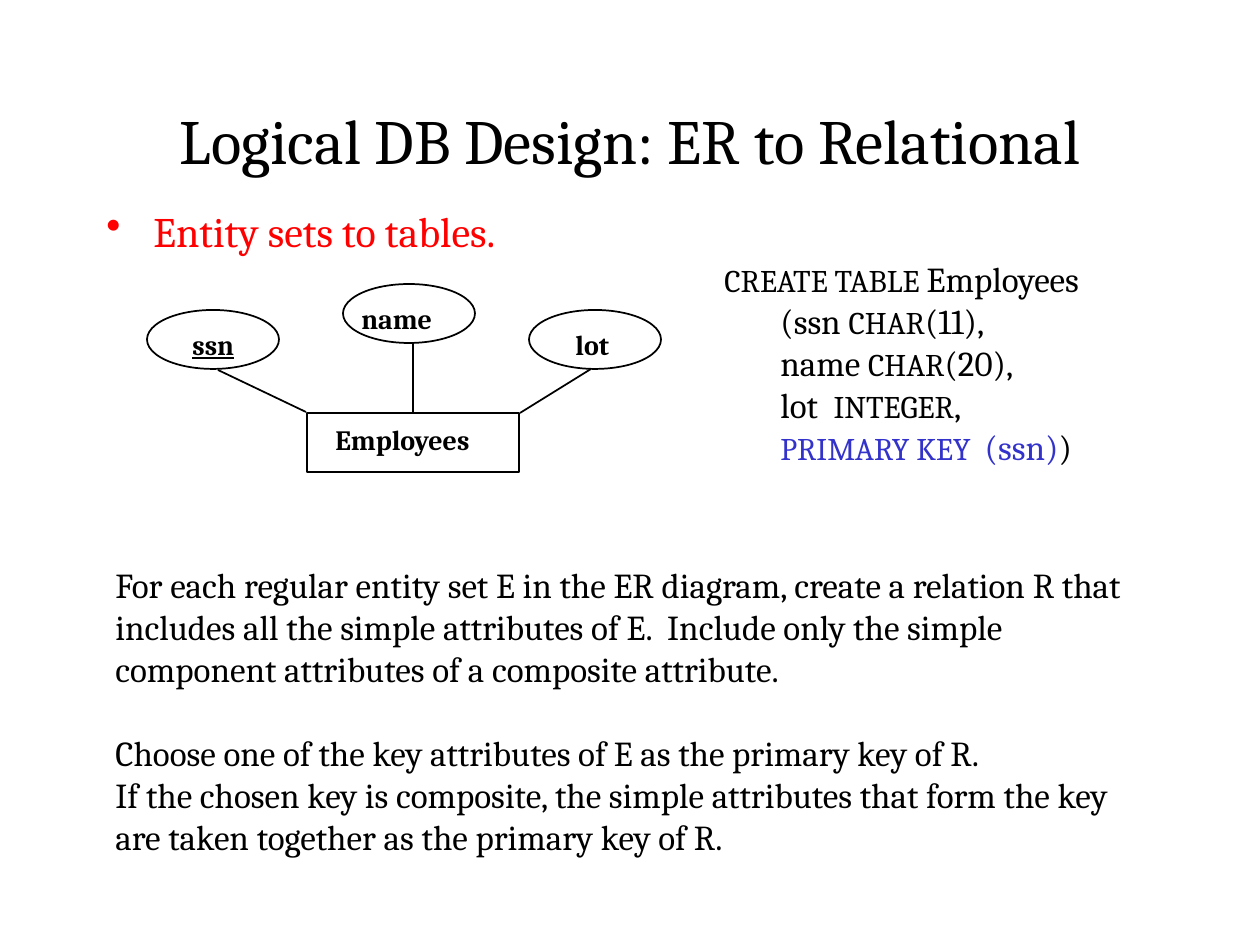
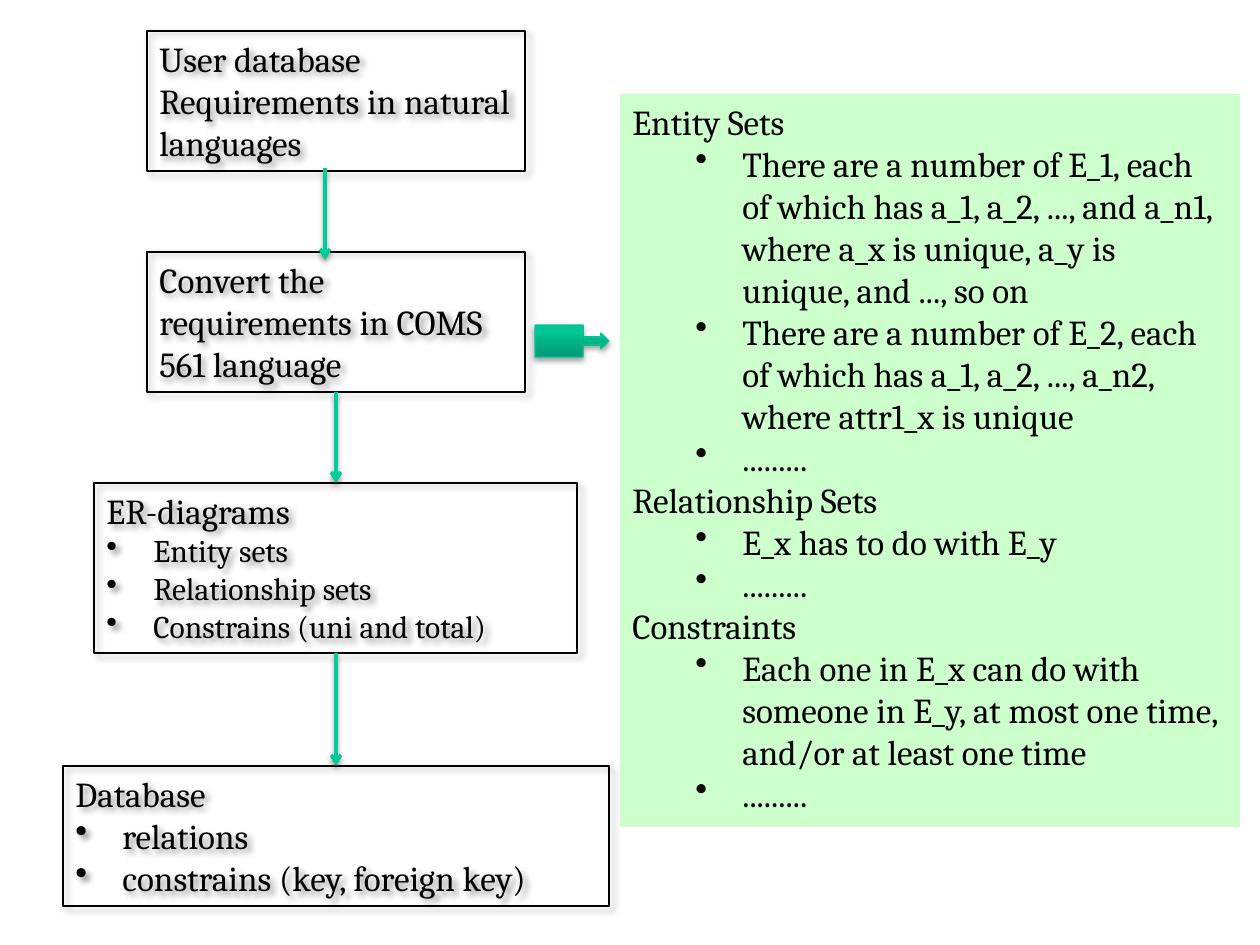
from lxml import etree
from pptx import Presentation
from pptx.dml.color import RGBColor
from pptx.enum.shapes import MSO_CONNECTOR, MSO_SHAPE
from pptx.enum.text import MSO_ANCHOR, MSO_AUTO_SIZE, PP_ALIGN
from pptx.oxml.ns import qn
from pptx.util import Emu, Pt

PIXEL = 914400 / 126
FONT = "Cambria"
COLORS = {
    "ink": "000000",
    "topic": "FF0000",
    "key": "3333CC",
    "panel": "CCFFCC",
    "flow": "00CC99",
    "callout edge": "00C896",
}
CALLOUT_STOPS = [(0, "009872"), (80, "00C694"), (100, "00C795")]
# Opacity in percent, blur and distance in points, direction in degrees
BOX_SHADOW = (43, 4, 3, 45)
ARROW_SHADOW = (38, 3.1, 1.6, 90)
CALLOUT_SHADOW = (35, 3.1, 1.8, 90)

RECTANGLE = MSO_SHAPE.RECTANGLE
ELLIPSE = MSO_SHAPE.OVAL
CALLOUT = MSO_SHAPE.RIGHT_ARROW_CALLOUT
STRAIGHT = MSO_CONNECTOR.STRAIGHT
MIDDLE = MSO_ANCHOR.MIDDLE
CENTER = PP_ALIGN.CENTER
GROW = MSO_AUTO_SIZE.SHAPE_TO_FIT_TEXT
LEFT = PP_ALIGN.LEFT
TOP = MSO_ANCHOR.TOP

HANG = 47
SUB_MARGIN = 110


def px(*values):
    """Turn pixels into EMU."""
    return [Emu(round(value * PIXEL)) for value in values]


def rgb(name):
    """Look up a named colour."""
    return RGBColor.from_string(COLORS[name])


def add_child(parent, tag, **attributes):
    """Append a DrawingML element with the given attributes."""
    child = etree.SubElement(parent, qn(tag))
    for name, value in attributes.items():
        child.set(name, str(value))
    return child


def add_shadow(effects, shadow):
    """Put an outer shadow in an effect list."""
    opacity, blur, distance, direction = shadow
    outer = add_child(effects, "a:outerShdw", blurRad=Pt(blur), dist=Pt(distance),
                      dir=direction * 60000, rotWithShape=0)
    color = add_child(outer, "a:srgbClr", val=COLORS["ink"])
    add_child(color, "a:alpha", val=opacity * 1000)


def line_of(*spans, margin=0, bullet=False, **formats):
    """Describe one paragraph; a span is a text or a (text, formats) pair."""
    return spans, margin, bullet, formats


def bullet_of(text, margin=HANG, **formats):
    """Describe one bulleted paragraph."""
    return line_of((text, formats), margin=margin, bullet=True)


def write(frame, lines, size=20, color="ink", **formats):
    """Fill a text frame with described paragraphs."""
    for number, (spans, margin, bullet, para_formats) in enumerate(lines):
        para = frame.add_paragraph() if number else frame.paragraphs[0]
        for name, value in {"alignment": LEFT, **para_formats}.items():
            setattr(para, name, value)
        properties = para._p.get_or_add_pPr()
        properties.set("marL", str(px(margin)[0]))
        properties.set("indent", str(px(-HANG if bullet else 0)[0]))
        if bullet:
            add_child(properties, "a:buChar", char="•")
        for item in spans:
            text, changes = (item, {}) if isinstance(item, str) else item
            values = {"name": FONT, "size": size, "color": color, **formats, **changes}
            span = para.add_run()
            span.text = text
            span.font.color.rgb = rgb(values.pop("color"))
            values["size"] = Pt(values["size"])
            for name, value in values.items():
                setattr(span.font, name, value)


def add_text(shapes, place, lines, frame_formats=None, **formats):
    """Add a text box."""
    frame = shapes.add_textbox(*px(*place)).text_frame
    for name, value in {"word_wrap": True, **(frame_formats or {})}.items():
        setattr(frame, name, value)
    write(frame, lines, **formats)


def add_box(shapes, kind, place, fill=None, line="ink", width=1, shadow=None, lines=()):
    """Add a preset shape, optionally with fill, shadow and text."""
    box = shapes.add_shape(kind, *px(*place))
    box.shadow.inherit = False
    if fill:
        box.fill.solid()
        box.fill.fore_color.rgb = rgb(fill)
    else:
        box.fill.background()
    if line:
        box.line.color.rgb = rgb(line)
        box.line.width = Pt(width)
    else:
        box.line.fill.background()
    if shadow:
        add_shadow(box._element.spPr.find(qn("a:effectLst")), shadow)
    if lines:
        box.text_frame.word_wrap = True
        box.text_frame.vertical_anchor = TOP
        write(box.text_frame, lines)
    return box


def add_line(shapes, ends, color="ink", width=1, shadow=None, arrow=False):
    """Add a straight line, optionally with a shadow and an arrowhead."""
    line = shapes.add_connector(STRAIGHT, *px(*ends))
    line.line.color.rgb = rgb(color)
    line.line.width = Pt(width)
    if arrow:
        add_child(line.line._get_or_add_ln(), "a:tailEnd", type="arrow")
    effects = add_child(line._element.spPr, "a:effectLst")
    if shadow:
        add_shadow(effects, shadow)


def add_callout(shapes, place):
    """Add the arrow callout with its upward gradient."""
    box = add_box(shapes, CALLOUT, place, line="callout edge", width=0.75,
                  shadow=CALLOUT_SHADOW)
    box.fill.gradient()
    box.fill.gradient_angle = 90
    stops = box._element.spPr.find(qn("a:gradFill")).find(qn("a:gsLst"))
    for stop in list(stops):
        stops.remove(stop)
    for position, color in CALLOUT_STOPS:
        add_child(add_child(stops, "a:gs", pos=position * 1000), "a:srgbClr", val=color)


def add_entity_diagram(shapes):
    """Draw the Employees entity and its three attributes."""
    group = shapes.add_group_shape().shapes
    add_box(group, RECTANGLE, (307, 413, 212, 59))
    for left, top in [(147, 310), (343, 284), (529, 310)]:
        add_box(group, ELLIPSE, (left, top, 132, 59))
    labels = [
        ("Employees", (323, 416, 166, 47), False),
        ("ssn", (180, 321, 68, 47), True),
        ("name", (349, 295, 97, 47), False),
        ("lot", (563, 321, 60, 46), False),
    ]
    for text, place, underline in labels:
        add_text(group, place, [line_of(text)], {"word_wrap": False, "auto_size": GROW},
                 size=16, bold=True, underline=underline)
    for ends in [(218, 370, 306, 412), (413, 344, 413, 412), (520, 413, 591, 369)]:
        add_line(group, ends)


def build_mapping_slide(shapes):
    """Build the slide on turning entity sets into tables."""
    add_text(shapes, (42, 63, 1176, 152),
             [line_of("Logical DB Design: ER to Relational", alignment=CENTER)],
             {"vertical_anchor": MIDDLE}, size=36)
    add_text(shapes, (94, 199, 577, 84), [bullet_of("Entity sets to tables.")],
             size=24, color="topic")
    small = {"size": 18}
    column = 138
    add_text(shapes, (630, 251, 609, 222), [
        line_of(("CREATE TABLE ", small), "Employees", margin=82),
        line_of("(ssn ", ("CHAR", small), "(11),", margin=column),
        line_of("name ", ("CHAR", small), "(20),", margin=column),
        line_of("lot  ", ("INTEGER", small), ",", margin=column),
        line_of(("PRIMARY KEY  ", {"size": 18, "color": "key"}),
                ("(ssn)", {"color": "key"}), ")", margin=column),
    ])
    add_entity_diagram(shapes)
    add_text(shapes, (103, 557, 1052, 306), [
        line_of("For each regular entity set E in the ER diagram, create a relation R "
                "that includes all the simple attributes of E.  Include only the simple "
                "component attributes of a composite attribute."),
        line_of("Choose one of the key attributes of E as the primary key of R.",
                space_before=Pt(24)),
        line_of("If the chosen key is composite, the simple attributes that form the key "
                "are taken together as the primary key of R."),
    ])


def build_process_slide(shapes):
    """Build the slide on the steps from requirements to database."""
    steps = [
        ((147, 31, 378, 140), [line_of("User database Requirements in natural languages")]),
        ((147, 252, 378, 140), [line_of("Convert the requirements in COMS 561 language")]),
        ((94, 483, 483, 170), [line_of("ER-diagrams")] + [
            bullet_of(text, size=18)
            for text in ("Entity sets", "Relationship sets", "Constrains (uni and total)")]),
        ((63, 766, 546, 140), [line_of("Database"), bullet_of("relations"),
                               bullet_of("constrains (key, foreign key)")]),
    ]
    for place, lines in steps:
        add_box(shapes, RECTANGLE, place, width=0.75, shadow=BOX_SHADOW, lines=lines)
    for x, start, end in [(325, 168, 260), (336, 392, 483), (336, 653, 766)]:
        add_line(shapes, (x, start, x, end), "flow", 2, ARROW_SHADOW, arrow=True)

    dots = "........."
    sections = {
        "Entity Sets": [
            "There are a number of E_1, each of which has a_1, a_2, ..., and a_n1, "
            "where a_x is unique, a_y is unique, and ..., so on",
            "There are a number of E_2, each of which has a_1, a_2, ..., a_n2, "
            "where attr1_x is unique",
        ],
        "Relationship Sets": ["E_x has to do with E_y"],
        "Constraints": ["Each one in E_x can do with someone in E_y, at most one time, "
                        "and/or at least one time"],
    }
    lines = []
    for heading, points in sections.items():
        lines.append(line_of(heading))
        lines += [bullet_of(point, SUB_MARGIN) for point in points + [dots]]
    add_box(shapes, RECTANGLE, (620, 94, 620, 733), fill="panel", line=None, lines=lines)
    add_callout(shapes, (535, 325, 74, 32))


def main():
    """Build and save the deck."""
    deck = Presentation()
    deck.slide_width, deck.slide_height = px(1260, 945)
    for build in (build_mapping_slide, build_process_slide):
        page = deck.slides.add_slide(deck.slide_layouts[6])
        build(page.shapes)
    deck.save("out.pptx")


main()
